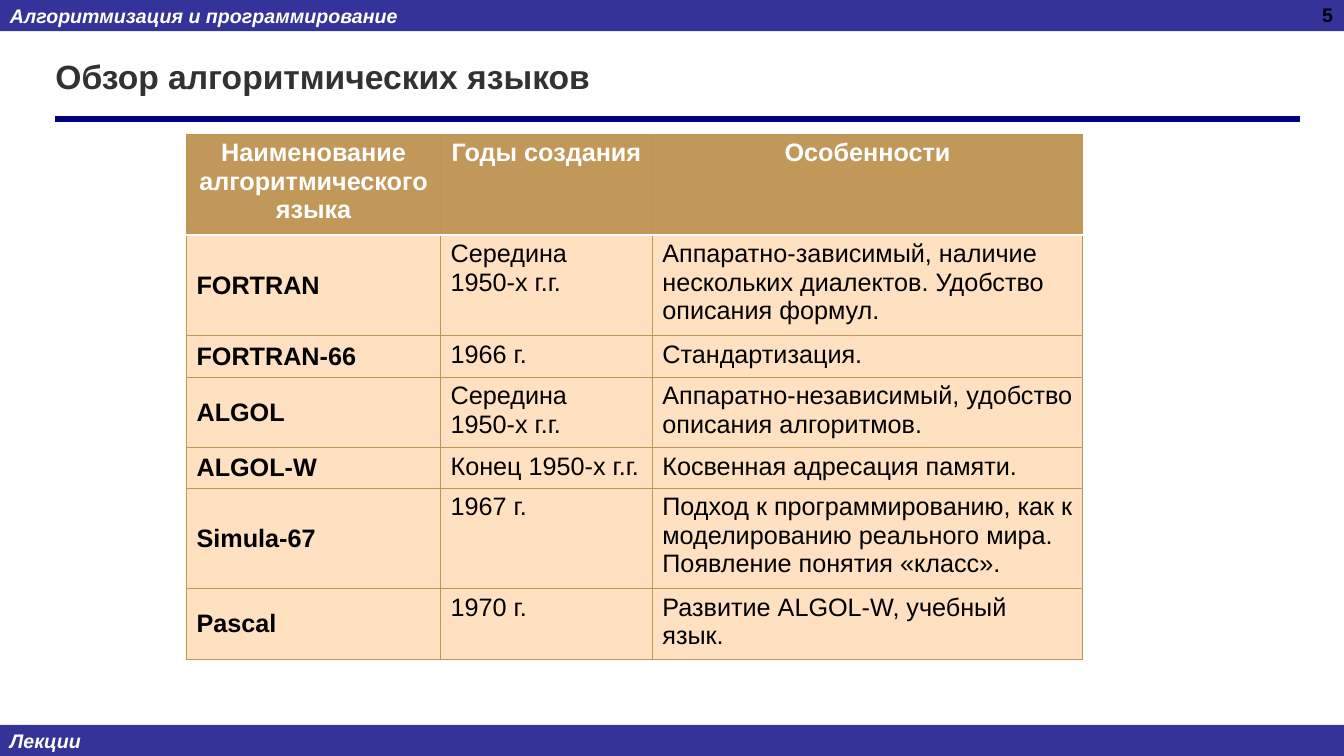
"""Build the slide with a table of early algorithmic languages."""
from lxml import etree
from pptx import Presentation
from pptx.dml.color import RGBColor
from pptx.enum.shapes import MSO_CONNECTOR, MSO_SHAPE
from pptx.enum.text import MSO_ANCHOR, PP_ALIGN
from pptx.oxml.ns import qn
from pptx.util import Inches, Pt

TITLE = "Обзор алгоритмических языков"
PAGE_NUMBER = "5"
BANDS = [("Алгоритмизация и программирование", 0), ("Лекции", 7.19)]
HEADERS = ["Наименование алгоритмического языка", "Годы создания", "Особенности"]
LANGUAGES = [
    ("FORTRAN", "Середина\n1950-х г.г.",
     "Аппаратно-зависимый, наличие нескольких диалектов. Удобство описания формул."),
    ("FORTRAN-66", "1966 г.", "Стандартизация."),
    ("ALGOL", "Середина\n1950-х г.г.",
     "Аппаратно-независимый, удобство описания алгоритмов."),
    ("ALGOL-W", "Конец 1950-х г.г.", "Косвенная адресация памяти."),
    ("Simula-67", "1967 г.",
     "Подход к программированию, как к моделированию реального мира. "
     "Появление понятия «класс»."),
    ("Pascal", "1970 г.", "Развитие ALGOL-W, учебный язык."),
]
COLUMN_WIDTHS = [2.52, 2.1, 4.27]
ROW_HEIGHTS = [0.94, 0.94, 0.41, 0.66, 0.4, 0.94, 0.66]

FONT = "Arial"
WHITE = RGBColor(0xFF, 0xFF, 0xFF)
BLACK = RGBColor(0, 0, 0)
TITLE_GREY = RGBColor(0x32, 0x32, 0x32)
BAND_BLUE = RGBColor(0x33, 0x33, 0x99)
RULE_NAVY = RGBColor(0, 0, 0x80)
HEADER_TAN = RGBColor(0xC1, 0x98, 0x59)
BODY_PEACH = RGBColor(0xFF, 0xE0, 0xC0)
BORDER_TAN = RGBColor(0xBF, 0x95, 0x54)

LEFT, CENTER, RIGHT = PP_ALIGN.LEFT, PP_ALIGN.CENTER, PP_ALIGN.RIGHT
TOP, MIDDLE = MSO_ANCHOR.TOP, MSO_ANCHOR.MIDDLE
RECTANGLE = MSO_SHAPE.RECTANGLE
STRAIGHT = MSO_CONNECTOR.STRAIGHT
TITLE_ONLY = 5


def write(frame, text, size=18, color=BLACK, bold=False, italic=False,
          align=LEFT, anchor=TOP):
    """Fill a text frame, one paragraph per line of text."""
    frame.word_wrap = True
    frame.vertical_anchor = anchor
    frame.text = text
    for para in frame.paragraphs:
        para.alignment = align
        for span in para.runs:
            font = span.font
            font.name, font.size, font.color.rgb = FONT, Pt(size), color
            font.bold, font.italic = bold, italic


def set_border(cell, side, color, width):
    """Add one solid border line to a table cell."""
    properties = cell._tc.get_or_add_tcPr()
    line = etree.SubElement(properties, qn(f"a:ln{side}"), w=str(Pt(width)))
    fill = etree.SubElement(line, qn("a:solidFill"))
    etree.SubElement(fill, qn("a:srgbClr"), val=str(color))


def add_band(page, text, top):
    """Draw a full-width coloured band with its caption."""
    band = page.shapes.add_shape(RECTANGLE, 0, Inches(top), Inches(13.33), Inches(0.31))
    band.shadow.inherit = False
    band.fill.solid()
    band.fill.fore_color.rgb = BAND_BLUE
    band.line.fill.background()
    write(band.text_frame, text, size=14, color=WHITE, bold=True, italic=True,
          anchor=MIDDLE)


def add_title(page):
    """Place the title and the rule below it."""
    title = page.shapes.title
    title.left, title.top = Inches(0.45), Inches(0.33)
    title.width, title.height = Inches(12.21), Inches(0.85)
    write(title.text_frame, TITLE, size=24, color=TITLE_GREY, bold=True, anchor=MIDDLE)
    rule = page.shapes.add_connector(STRAIGHT, Inches(0.55), Inches(1.18),
                                     Inches(12.89), Inches(1.18))
    rule.line.color.rgb = RULE_NAVY
    rule.line.width = Pt(4.5)
    etree.SubElement(rule._element.spPr, qn("a:effectLst"))


def add_language_table(page):
    """Draw the table of languages."""
    rows = [HEADERS, *LANGUAGES]
    table = page.shapes.add_table(
        len(rows), len(HEADERS), Inches(1.85), Inches(1.33),
        Inches(sum(COLUMN_WIDTHS)), Inches(sum(ROW_HEIGHTS))).table
    for column, width in zip(table.columns, COLUMN_WIDTHS):
        column.width = Inches(width)
    for row, height in zip(table.rows, ROW_HEIGHTS):
        row.height = Inches(height)
    for row_index, texts in enumerate(rows):
        header = row_index == 0
        for column_index, text in enumerate(texts):
            cell = table.cell(row_index, column_index)
            name = column_index == 0 and not header
            write(cell.text_frame, text, color=WHITE if header else BLACK,
                  bold=header or name, align=CENTER if header else LEFT)
            cell.vertical_anchor = MIDDLE if name else TOP
            for side in "LRTB":
                divider = (row_index, side) in ((0, "B"), (1, "T"))
                set_border(cell, side, *((WHITE, 2) if divider else (BORDER_TAN, 0.75)))
            cell.fill.solid()
            cell.fill.fore_color.rgb = HEADER_TAN if header else BODY_PEACH


def main():
    """Build and save the deck."""
    deck = Presentation()
    deck.slide_width, deck.slide_height = Inches(13.33), Inches(7.5)
    page = deck.slides.add_slide(deck.slide_layouts[TITLE_ONLY])
    for text, top in BANDS:
        add_band(page, text, top)
    add_title(page)
    number = page.shapes.add_textbox(Inches(10.21), Inches(-0.02), Inches(3.11), Inches(0.52))
    write(number.text_frame, PAGE_NUMBER, size=14, bold=True, align=RIGHT)
    add_language_table(page)
    deck.save("out.pptx")


if __name__ == "__main__":
    main()
